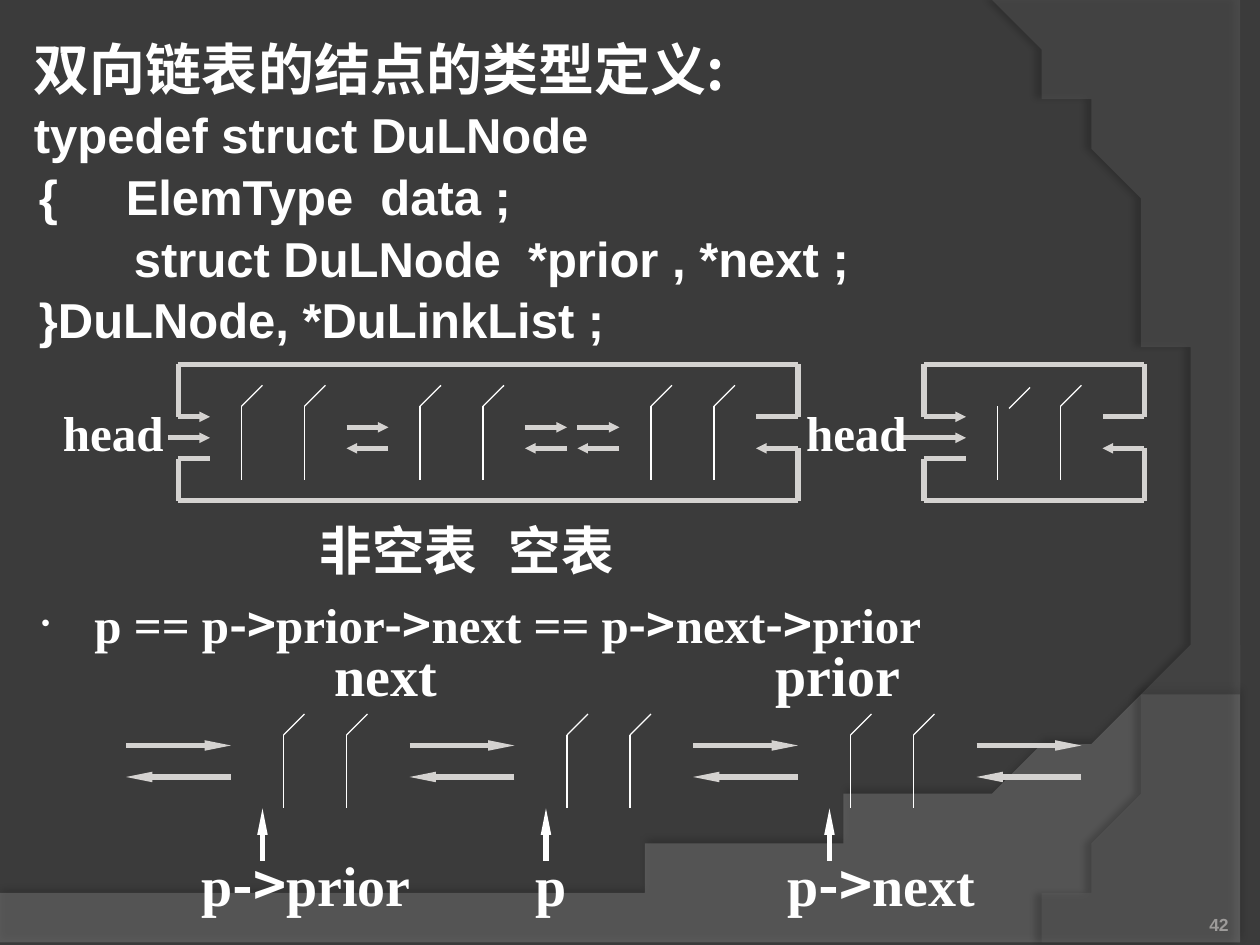
from lxml.etree import SubElement
from pptx import Presentation
from pptx.dml.color import RGBColor
from pptx.enum.shapes import MSO_CONNECTOR as Link
from pptx.enum.text import MSO_ANCHOR as Anchor, MSO_AUTO_SIZE as AutoSize, PP_ALIGN as Align
from pptx.oxml.ns import qn
from pptx.util import Cm, Pt

ARIAL, SERIF, HAN = "Arial", "Times New Roman", "Noto Sans CJK SC"
WHITE, SILVER = "FFFFFF", "D4D2D0"
GRID = 2.54 / 12  # cm per step of the diagrams


def color(text):
    return RGBColor.from_string(text)


def child(parent, tag, **attributes):
    return SubElement(parent, qn(tag), {key: str(value) for key, value in attributes.items()})


def grid(steps):
    return Cm(steps * GRID)


def curve(start, first, second, end, steps=40):
    """Points along a cubic Bezier curve."""
    points = []
    for step in range(steps + 1):
        t = step / steps
        weights = ((1 - t) ** 3, 3 * t * (1 - t) ** 2, 3 * t * t * (1 - t), t ** 3)
        points.append(tuple(sum(w * point[axis] for w, point in zip(weights, (start, first, second, end)))
                            for axis in (0, 1)))
    return points


class ListSlide:
    def __init__(self, page):
        self.page = page
        self.title, self.body = page.shapes.title, page.placeholders[1]

    def backdrop(self, points, fill, opacity, shade, distance, direction):
        pen = self.page.shapes.build_freeform(*points[0], scale=Cm(1))
        pen.add_line_segments(points[1:], close=True)
        shape = pen.convert_to_shape()
        shape.line.fill.background()
        shape.fill.solid()
        shape.fill.fore_color.rgb = color(fill)
        child(shape.fill._xPr.find(".//" + qn("a:srgbClr")), "a:alpha", val=opacity * 1000)
        shape.shadow.inherit = False
        effects = shape._element.spPr.find(qn("a:effectLst"))
        shadow = child(effects, "a:outerShdw", blurRad=Pt(4), dist=Pt(distance),
                       dir=direction * 60000, algn="ctr", rotWithShape=0)
        child(child(shadow, "a:srgbClr", val="000000"), "a:alpha", val=shade * 1000)
        self.title._element.addprevious(shape._element)

    def place(self, box, left, top, width, height, wrap=True):
        box.left, box.top, box.width, box.height = Cm(left), Cm(top), Cm(width), Cm(height)
        frame = box.text_frame
        frame.word_wrap = wrap
        frame.auto_size = AutoSize.NONE
        frame.vertical_anchor = Anchor.TOP
        return frame

    def textbox(self, left, top, width, height, wrap=False):
        box = self.page.shapes.add_textbox(0, 0, 0, 0)
        return self.place(box, left, top, width, height, wrap)

    def paragraph(self, para, text, font, size, spacing=None, margin=0.0, indent=0.0):
        para.alignment = Align.LEFT
        para.space_before = Pt(0)
        if spacing:
            para.line_spacing = spacing
        properties = para._p.get_or_add_pPr()
        properties.set("marL", str(Cm(margin)))
        properties.set("indent", str(Cm(indent)))
        # Pointer arrows inside serif text use the Han font
        for part in filter(None, text.replace("->", "|->|").split("|")):
            self.span(para, part, HAN if part == "->" else font, size)
        return properties

    def span(self, para, text, font, size, tint=WHITE):
        span = para.add_run()
        span.text = text
        span.font.name, span.font.size, span.font.bold = font, Pt(size), True
        span.font.color.rgb = color(tint)
        child(span.font._element, "a:ea", typeface=font)

    def label(self, text, left, top, width, size=32, wrap=False):
        frame = self.textbox(left, top, width, 1.6, wrap)
        self.paragraph(frame.paragraphs[0], text, SERIF, size)

    def line(self, x1, y1, x2, y2, tint=SILVER, weight=3, head=None):
        link = self.page.shapes.add_connector(Link.STRAIGHT, grid(x1), grid(y1), grid(x2), grid(y2))
        link.line.color.rgb = color(tint)
        link.line.width = Pt(weight)
        if head:
            child(link.line._get_or_add_ln(), "a:tailEnd", type="triangle", w="sm", len=head)
        child(link._element.spPr, "a:effectLst")

    def chain(self, *points):
        for start, end in zip(points, points[1:]):
            self.line(*start, *end)

    def separator(self, x, y, shift_x=0, shift_y=0):
        self.line(x, y + 4, x, y + 11, WHITE, 0.75)
        self.line(x + shift_x, y + 4 + shift_y, x + 2 + shift_x, y + 2 + shift_y, WHITE, 0.75)

    def node(self, x, y, *shift):
        self.separator(x, y, *shift)
        self.separator(x + 6, y)

    def arrow_pair(self, x, length, y_next, y_prior, head):
        self.line(x, y_next, x + length, y_next, head=head)
        self.line(x + length, y_prior, x, y_prior, head=head)

    def ring(self, left, right, y, stub, head_start):
        """Circular links around a list, with the head arrow."""
        inner, outer = left + stub, right - 4
        self.chain((left, y + 5), (left, y), (right, y), (right, y + 5), (outer, y + 5))
        self.chain((inner, y + 9), (left, y + 9), (left, y + 13), (right, y + 13), (right, y + 8))
        self.line(left, y + 5, inner, y + 5, head="sm")
        self.line(right, y + 8, outer, y + 8, head="sm")
        self.line(head_start, y + 7, inner, y + 7, head="sm")


def main():
    deck = Presentation()
    deck.slide_width, deck.slide_height = Cm(25.4), Cm(19.05)
    page = deck.slides.add_slide(deck.slide_layouts[1])
    page.background.fill.solid()
    page.background.fill.fore_color.rgb = color("3B3B3B")
    slide = ListSlide(page)

    # Backdrop waves
    wave = curve((25.4, 13.21), (14.2, 18.52), (9.93, 18.26), (0, 17.91))
    slide.backdrop(wave + [(0, 19.05), (25.4, 19.05)], "7F7F7F", 45, 35, 3.5, 270)
    arc = curve((20.85, 19.05), (23.75, 15.72), (25.86, 7.62), (20.32, 0))
    slide.backdrop(arc + [(25.4, 0.05), (25.4, 19.05)], "5E5E5E", 40, 45, 4, 180)

    # Type definition
    frame = slide.place(slide.title, 0.43, 0.43, 23.7, 6.55)
    slide.paragraph(frame.paragraphs[0], "双向链表的结点的类型定义:", HAN, 32, 1.1)
    code = [("typedef struct DuLNode", 0),
            ("{     ElemType  data ;", 0.1),
            ("       struct DuLNode  *prior , *next ;", 0.1),
            ("}DuLNode, *DuLinkList ;", 0.1)]
    for text, margin in code:
        slide.paragraph(frame.add_paragraph(), text, ARIAL, 28, 1.05, margin)

    # Pointer identity
    frame = slide.place(slide.body, 0.48, 11.73, 22.86, 3.38)
    properties = slide.paragraph(frame.paragraphs[0], "p == p->prior->next == p->next->prior",
                                 SERIF, 28, 1.1, 1.17, -1.07)
    child(properties, "a:buSzPct", val=50000)
    child(properties, "a:buChar", char="•")

    # Captions of the two lists
    frame = slide.textbox(6.15, 10.31, 16.13, 1.6, wrap=True)
    frame.margin_left = Cm(0.3)
    properties = slide.paragraph(frame.paragraphs[0], "非空表\t空表", HAN, 30)
    child(child(properties, "a:tabLst"), "a:tab", pos=Cm(9.42), algn="l")

    # Neighbours of p
    base = 66
    for x in (27, 54, 81):
        slide.node(x, base)
        slide.line(x - 2, base + 16, x - 2, base + 11, WHITE, head="lg")
    for x in (12, 39, 66, 93):
        slide.arrow_pair(x, 10, base + 5, base + 8, "lg")
    slide.label("p->prior", 3.81, 17.02, 4.83)
    slide.label("p", 10.54, 17.02, 1.14)
    slide.label("p->next", 15.62, 17.02, 5.77, wrap=True)
    slide.label("next", 6.5, 12.78, 2.59)
    slide.label("prior", 15.39, 12.78, 3.05)

    # Non-empty list and empty list
    top = 34.7
    for x in (23, 40, 62):
        slide.node(x, top)
    slide.node(95, top, 1.1, 0.2)
    for x in (33, 50, 55):
        slide.arrow_pair(x, 4, top + 6, top + 8, "sm")
    slide.ring(17, 76, top, 3, 16)
    slide.ring(88, 109, top, 4, 86)
    for left in (1.02, 16):
        slide.label("head", left, 7.98, 2.57, 28)

    # Slide number
    frame = slide.textbox(22.66, 17.83, 2.11, 1.02, wrap=True)
    frame.margin_left = frame.margin_right = frame.margin_top = frame.margin_bottom = 0
    frame.vertical_anchor = Anchor.BOTTOM
    frame.paragraphs[0].alignment = Align.RIGHT
    slide.span(frame.paragraphs[0], "42", ARIAL, 10, "9D9B9A")

    deck.save("out.pptx")


if __name__ == "__main__":
    main()
